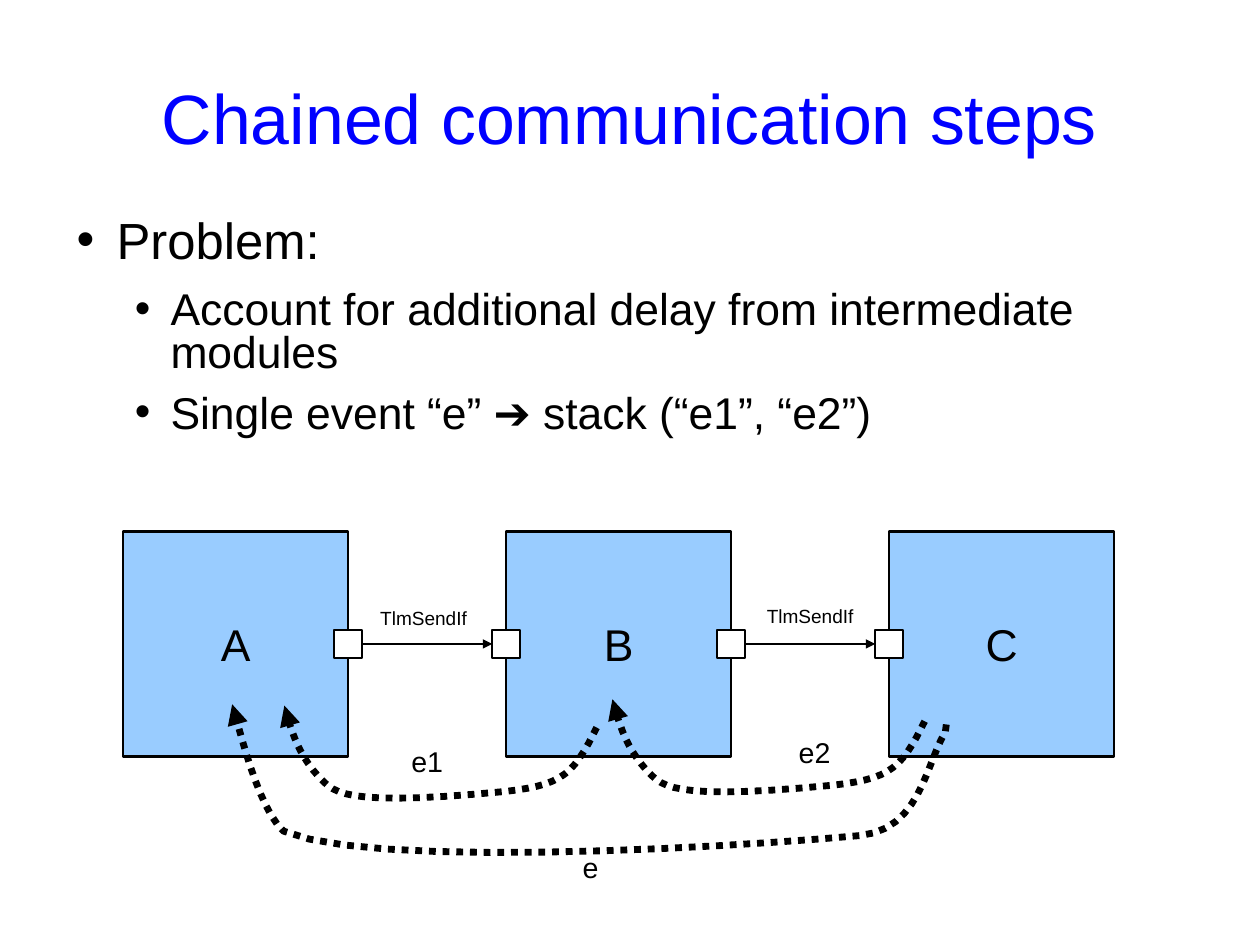
"""Build the slide on chained communication steps."""
from lxml import etree
from pptx import Presentation
from pptx.dml.color import RGBColor
from pptx.enum import dml, shapes, text
from pptx.oxml import ns
from pptx.util import Cm, Pt

TITLE = "Chained communication steps"
POINTS = [
    (0, "Problem:"),
    (1, "Account for additional delay from intermediate modules"),
    (1, "Single event “e” ➔ stack (“e1”, “e2”)"),
]
LEVELS = [(32, 1.19, -0.89, 14.1), (28, 2.39, -0.79, 11.3)]
BLOCKS = ["A", "B", "C"]
LABELS = [
    ("TlmSendIf", 12, 8.2, 13.34), ("TlmSendIf", 12, 16.79, 13.31),
    ("e1", 18, 8.89, 16.41), ("e2", 18, 17.5, 16.21), ("e", 18, 12.7, 18.75),
]
SHORT = [
    (20.55, 16.03), (20.37, 16.38),
    (19.96, 17.12), (19.66, 17.32), (18.52, 17.45),
    (15.37, 17.75), (14.81, 17.55), (14.5, 17.25),
    (13.94, 16.71), (13.77, 16.13), (13.61, 15.54),
]
LONG = [
    (21.03, 16.1), (21.01, 16.26),
    (20.57, 16.99), (20.45, 18.44), (19.1, 18.57),
    (15.77, 18.87), (8.15, 19.28), (6.3, 18.47),
    (5.72, 17.93), (5.33, 16.21), (5.16, 15.65),
]
ARCS = [(LONG, 0, 0), (SHORT, 0, 0), (SHORT, -7.29, 0.14)]
BLACK, WHITE, BLUE, SKY = "000000", "FFFFFF", "0000FF", "99CCFF"
LEFT, TOP, SIDE, PITCH, PORT = 2.74, 11.81, 5, 8.51, 0.62
MID = TOP + SIDE / 2
STEPS = 12


def paint(part, color):
    part.rgb = RGBColor.from_string(color)


def place(shape, *box):
    shape.left, shape.top, shape.width, shape.height = map(Cm, box)


def write(para, words, size, color=BLACK):
    run = para.add_run()
    run.text = words
    run.font.name, run.font.size = "Arial", Pt(size)
    paint(run.font.color, color)


def inset(frame, side, edge):
    frame.margin_left = frame.margin_right = Cm(side)
    frame.margin_top = frame.margin_bottom = Cm(edge)


def stroke(shape, width):
    paint(shape.line.color, BLACK)
    shape.line.width = Pt(width)


def tip(shape):
    line = shape.line._get_or_add_ln()
    etree.SubElement(line, ns.qn("a:tailEnd"), type="triangle")


def square(x, y, side, color):
    box = slide.shapes.add_shape(shapes.MSO_SHAPE.RECTANGLE, *map(Cm, (x, y, side, side)))
    box.shadow.inherit = False
    box.fill.solid()
    paint(box.fill.fore_color, color)
    stroke(box, 1.45)
    return box


def blend(a, b, c, d, t):
    s = 1 - t
    return s**3 * a + 3 * s * s * t * b + 3 * s * t * t * c + t**3 * d


def trace(knots):
    spots = list(knots[:2])
    for i in range(1, len(knots) - 1, 3):
        xs, ys = zip(*knots[i:i + 4])
        for k in range(1, STEPS + 1):
            spots.append((blend(*xs, k / STEPS), blend(*ys, k / STEPS)))
    return spots


deck = Presentation()
deck.slide_width, deck.slide_height = Cm(28), Cm(21)
slide = deck.slides.add_slide(deck.slide_layouts[1])
title, body = slide.placeholders

place(title, 1.4, 0.84, 25.2, 3.5)
place(body, 1.4, 4.9, 25.2, 13.87)
for holder, anchor in ((title, text.MSO_ANCHOR.MIDDLE), (body, text.MSO_ANCHOR.TOP)):
    frame = holder.text_frame
    inset(frame, 0, 0)
    frame.word_wrap = True
    frame.auto_size = text.MSO_AUTO_SIZE.NONE
    frame.vertical_anchor = anchor

head = title.text_frame.paragraphs[0]
head.alignment = text.PP_ALIGN.CENTER
write(head, TITLE, 44, BLUE)

for i, (level, words) in enumerate(POINTS):
    frame = body.text_frame
    para = frame.add_paragraph() if i else frame.paragraphs[0]
    size, margin, indent, after = LEVELS[level]
    para.level = level
    para.line_spacing, para.space_before, para.space_after = 0.8, Pt(0), Pt(after)
    props = para._p.get_or_add_pPr()
    props.set("marL", str(Cm(margin)))
    props.set("indent", str(Cm(indent)))
    etree.SubElement(props, ns.qn("a:buChar"), char="•")
    write(para, words, size)

for i, name in enumerate(BLOCKS):
    box = square(LEFT + i * PITCH, TOP, SIDE, SKY)
    inset(box.text_frame, 0.28, 0.15)
    box.text_frame.vertical_anchor = text.MSO_ANCHOR.MIDDLE
    para = box.text_frame.paragraphs[0]
    para.alignment = text.PP_ALIGN.CENTER
    write(para, name, 28)

for i in range(len(BLOCKS) - 1):
    out = LEFT + i * PITCH + SIDE
    into = LEFT + (i + 1) * PITCH
    for x in (out, into):
        square(x - PORT / 2, MID - PORT / 2, PORT, WHITE)
    ends = map(Cm, (out + PORT / 2, MID, into - PORT / 2, MID))
    link = slide.shapes.add_connector(shapes.MSO_CONNECTOR.STRAIGHT, *ends)
    etree.SubElement(link._element.spPr, ns.qn("a:effectLst"))
    stroke(link, 1.45)
    tip(link)

for knots, dx, dy in ARCS:
    first, *rest = [(Cm(x + dx), Cm(y + dy)) for x, y in trace(knots)]
    pen = slide.shapes.build_freeform(*first)
    pen.add_line_segments(rest, close=False)
    arc = pen.convert_to_shape()
    arc.shadow.inherit = False
    arc.fill.background()
    stroke(arc, 4.31)
    arc.line.dash_style = dml.MSO_LINE.ROUND_DOT
    tip(arc)

for words, size, x, y in LABELS:
    frame = slide.shapes.add_textbox(*map(Cm, (x, y, 3.2, 1.2))).text_frame
    frame.word_wrap = True
    inset(frame, 0.25, 0.13)
    write(frame.paragraphs[0], words, size)

deck.save("out.pptx")
